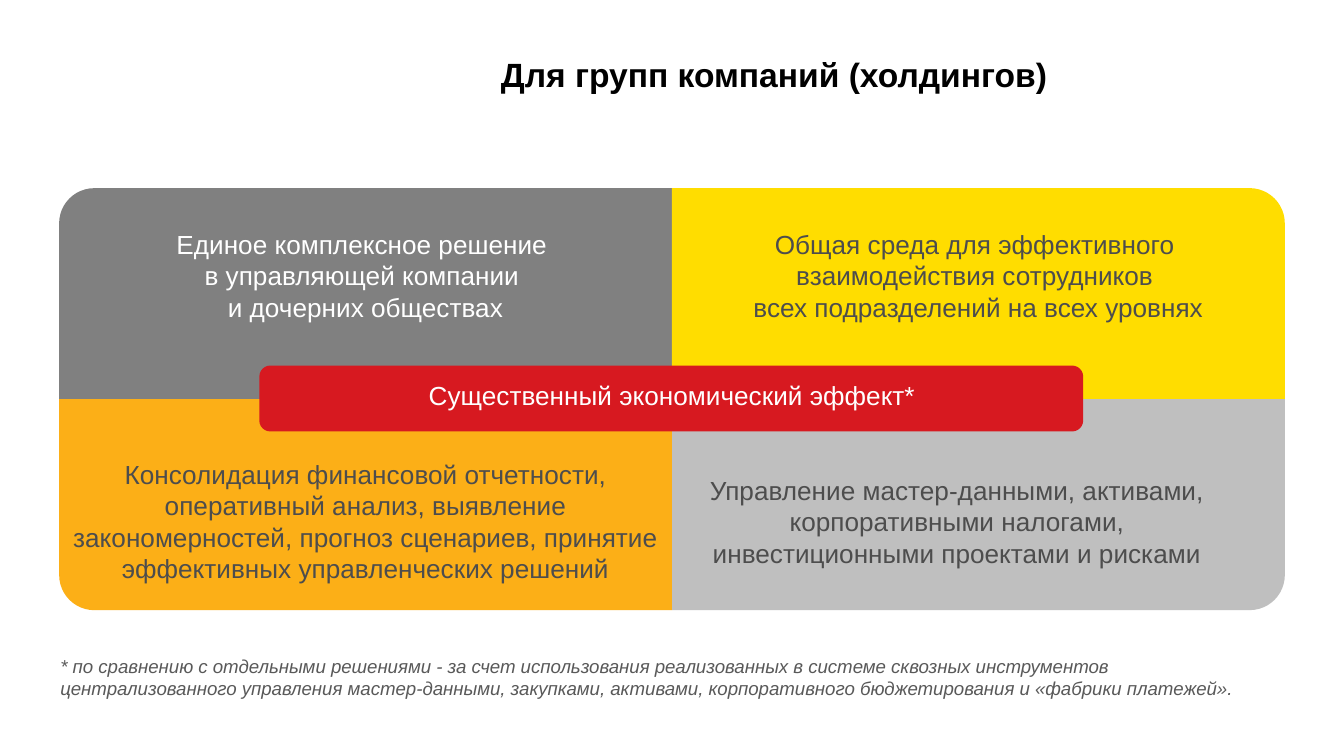
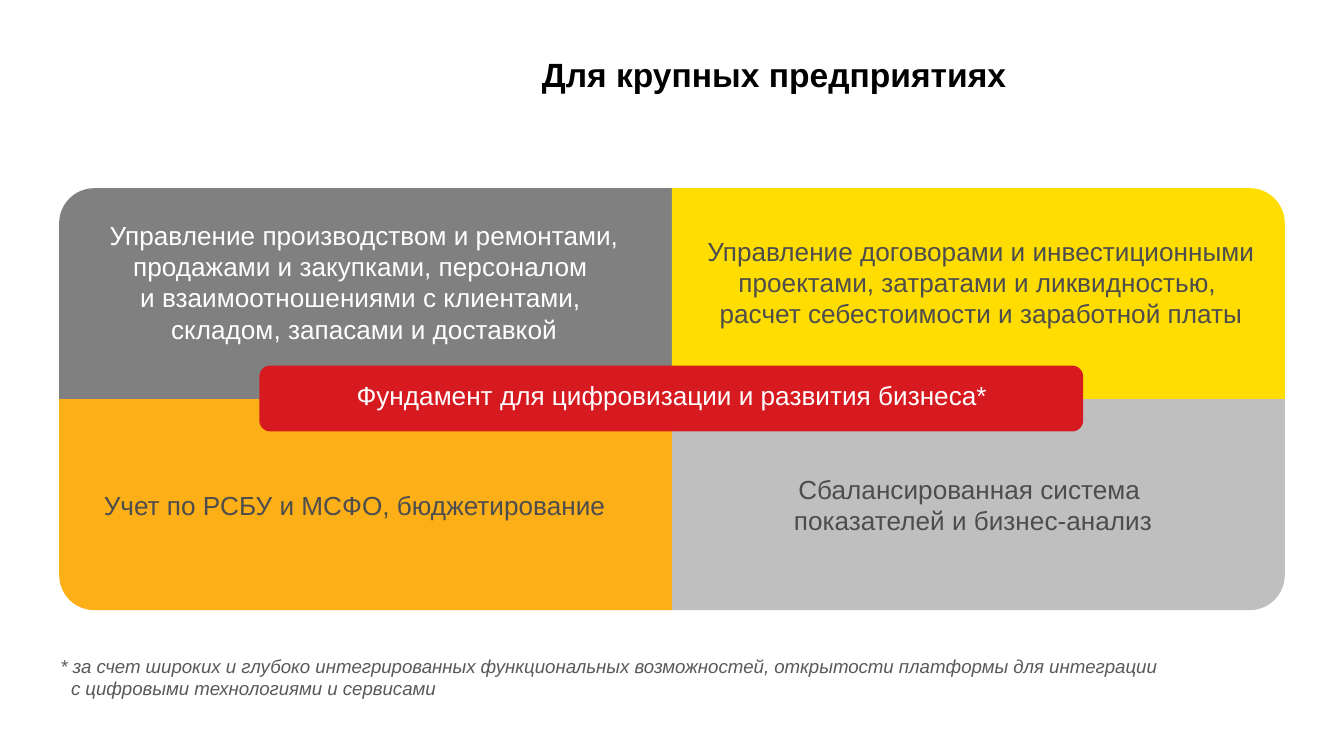
from dataclasses import dataclass

from pptx import Presentation
from pptx.dml.color import RGBColor
from pptx.enum.shapes import MSO_SHAPE
from pptx.enum.text import MSO_ANCHOR, PP_ALIGN
from pptx.util import Inches, Pt


@dataclass(frozen=True)
class Theme:
    font: str = "Arial"
    black: str = "000000"
    white: str = "FFFFFF"
    dark: str = "4D4D4D"
    note: str = "595959"
    gray: str = "808080"
    yellow: str = "FFDD00"
    orange: str = "FCAF17"
    silver: str = "BFBFBF"
    red: str = "D71920"
    title_size: int = 18
    body_size: int = 14
    note_size: int = 10


THEME = Theme()


@dataclass(frozen=True)
class Area:
    left: float
    top: float
    width: float
    height: float


@dataclass(frozen=True)
class TextStyle:
    size: int
    color: str
    bold: bool = False
    italic: bool = False
    align: PP_ALIGN = PP_ALIGN.CENTER
    anchor: MSO_ANCHOR = MSO_ANCHOR.TOP
    line_spacing: float = 1.0
    hanging: float = 0


@dataclass(frozen=True)
class Quadrant:
    column: int
    row: int
    rotation: int
    fill: str
    text_color: str


@dataclass(frozen=True)
class Label:
    text: str
    area: Area


@dataclass(frozen=True)
class Page:
    title: str
    effect: str
    labels: tuple[Label, ...]
    footnote: str
    footnote_hanging: float = 0


TITLE_AREA = Area(1.85, 0.18, 7.82, 0.74)
EFFECT_BAND = Area(1.93, 2.72, 6.13, 0.49)
EFFECT_TEXT = Area(1.96, 2.74, 6.08, 0.44)
FOOTNOTE_AREA = Area(0.35, 4.82, 9.31, 0.57)
GRID = Area(0.44, 1.4, 9.12, 3.14)

QUADRANTS = (
    Quadrant(0, 0, 270, THEME.gray, THEME.white),
    Quadrant(1, 0, 0, THEME.yellow, THEME.dark),
    Quadrant(0, 1, 180, THEME.orange, THEME.dark),
    Quadrant(1, 1, 90, THEME.silver, THEME.dark),
)

# Labels follow the order of QUADRANTS.
PAGES = (
    Page(
        "Для групп компаний (холдингов)",
        "Существенный экономический эффект*",
        (
            Label("Единое комплексное решение \nв управляющей компании \nи дочерних обществах",
                  Area(0.44, 1.65, 4.56, 0.81)),
            Label("Общая среда для эффективного \nвзаимодействия сотрудников \n"
                  "всех подразделений на всех уровнях",
                  Area(5.16, 1.65, 4.24, 0.81)),
            Label("Консолидация финансовой отчетности, оперативный анализ, выявление "
                  "закономерностей, прогноз сценариев, принятие эффективных "
                  "управленческих решений",
                  Area(0.44, 3.36, 4.56, 1.04)),
            Label("Управление мастер-данными, активами, корпоративными налогами, "
                  "инвестиционными проектами и рисками",
                  Area(5.08, 3.48, 4.08, 0.81)),
        ),
        "* по сравнению с отдельными решениями - за счет использования реализованных "
        "в системе сквозных инструментов централизованного управления мастер-данными, "
        "закупками, активами, корпоративного бюджетирования и «фабрики платежей».",
    ),
    Page(
        "Для крупных предприятиях",
        "Фундамент для цифровизации и развития бизнеса*",
        (
            Label("Управление производством и ремонтами, продажами и закупками, персоналом \n"
                  "и взаимоотношениями с клиентами, \nскладом, запасами и доставкой",
                  Area(0.43, 1.58, 4.56, 1.04)),
            Label("Управление договорами и инвестиционными проектами, затратами "
                  "и ликвидностью, \nрасчет себестоимости и заработной платы",
                  Area(5.02, 1.7, 4.56, 0.81)),
            Label("Учет по РСБУ и МСФО, бюджетирование", Area(0.36, 3.59, 4.56, 0.34)),
            Label("Сбалансированная система \nпоказателей и бизнес-анализ",
                  Area(4.92, 3.47, 4.64, 0.57)),
        ),
        "* за счет широких и глубоко интегрированных функциональных возможностей, "
        "открытости платформы для интеграции \nс цифровыми технологиями и сервисами",
        footnote_hanging=0.08,
    ),
)


def place(area: Area) -> tuple:
    return Inches(area.left), Inches(area.top), Inches(area.width), Inches(area.height)


def add_text(slide, area: Area, text: str, style: TextStyle) -> None:
    frame = slide.shapes.add_textbox(*place(area)).text_frame
    frame.word_wrap = True
    frame.vertical_anchor = style.anchor
    para = frame.paragraphs[0]
    para.text = text
    para.alignment = style.align
    para.line_spacing = style.line_spacing
    if style.hanging:
        properties = para._p.get_or_add_pPr()
        properties.set("marL", str(Inches(style.hanging)))
        properties.set("indent", str(-Inches(style.hanging)))
    for span in para.runs:
        span.font.name = THEME.font
        span.font.size = Pt(style.size)
        span.font.bold = style.bold
        span.font.italic = style.italic
        span.font.color.rgb = RGBColor.from_string(style.color)


def add_filled(slide, kind: MSO_SHAPE, area: Area, fill: str, rotation: int = 0) -> None:
    shape = slide.shapes.add_shape(kind, *place(area))
    shape.rotation = rotation
    shape.shadow.inherit = False
    shape.fill.solid()
    shape.fill.fore_color.rgb = RGBColor.from_string(fill)
    shape.line.fill.background()


def add_quadrant(slide, quadrant: Quadrant) -> None:
    """Draw one cell of the grid, its round corner turned outwards."""
    width, height = GRID.width / 2, GRID.height / 2
    center_x = GRID.left + (quadrant.column + 0.5) * width
    center_y = GRID.top + (quadrant.row + 0.5) * height
    if quadrant.rotation % 180:
        width, height = height, width
    area = Area(center_x - width / 2, center_y - height / 2, width, height)
    add_filled(slide, MSO_SHAPE.ROUND_1_RECTANGLE, area, quadrant.fill, quadrant.rotation)


def add_page(deck, page: Page) -> None:
    slide = deck.slides.add_slide(deck.slide_layouts[6])
    add_text(slide, TITLE_AREA, page.title,
             TextStyle(THEME.title_size, THEME.black, bold=True, anchor=MSO_ANCHOR.MIDDLE))
    for quadrant in QUADRANTS:
        add_quadrant(slide, quadrant)
    add_filled(slide, MSO_SHAPE.ROUNDED_RECTANGLE, EFFECT_BAND, THEME.red)
    add_text(slide, EFFECT_TEXT, page.effect,
             TextStyle(THEME.body_size, THEME.white, anchor=MSO_ANCHOR.MIDDLE,
                       line_spacing=0.85))
    for quadrant, label in zip(QUADRANTS, page.labels):
        add_text(slide, label.area, label.text,
                 TextStyle(THEME.body_size, quadrant.text_color))
    add_text(slide, FOOTNOTE_AREA, page.footnote,
             TextStyle(THEME.note_size, THEME.note, italic=True, align=PP_ALIGN.LEFT,
                       hanging=page.footnote_hanging))


def main() -> None:
    deck = Presentation()
    deck.slide_width = Inches(10)
    deck.slide_height = Inches(10 * 9 / 16)
    for page in PAGES:
        add_page(deck, page)
    deck.save("out.pptx")


if __name__ == "__main__":
    main()
